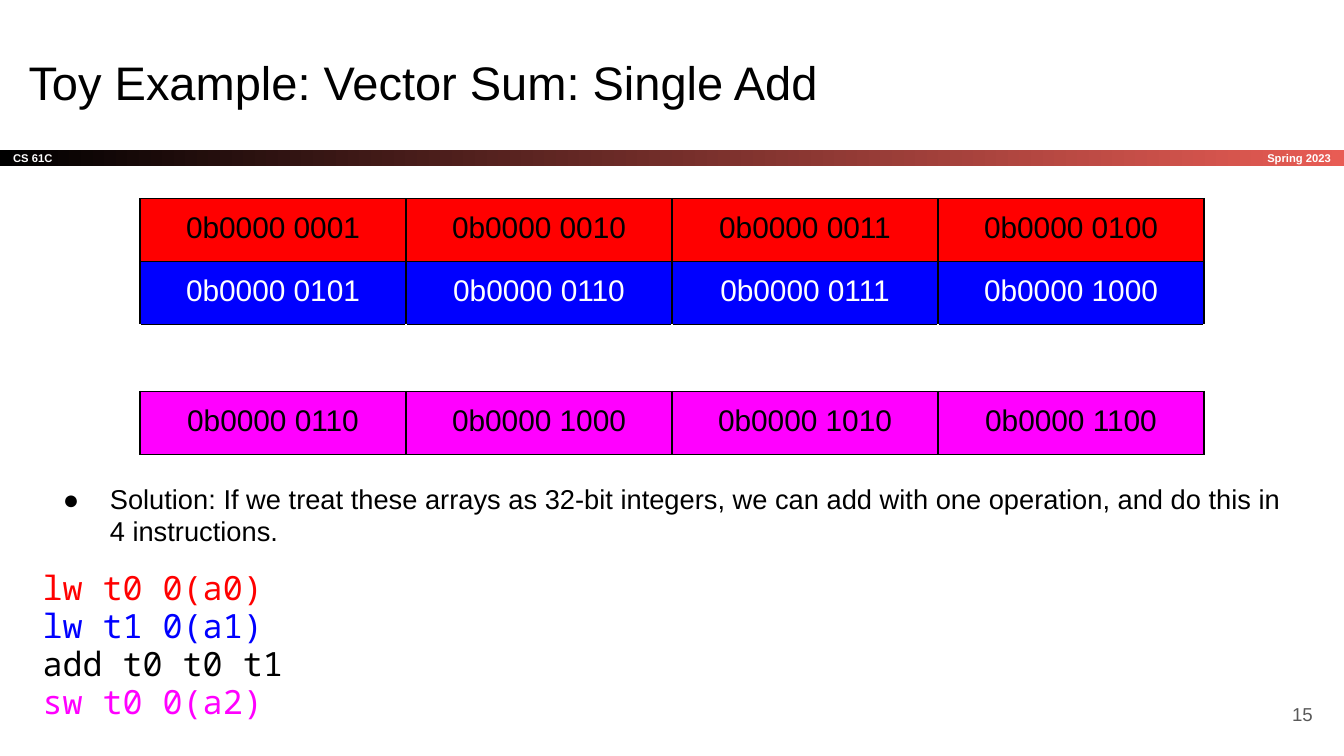
from typing import NamedTuple

from lxml import etree
from pptx import Presentation
from pptx.dml.color import RGBColor
from pptx.enum.shapes import MSO_SHAPE
from pptx.enum.text import MSO_ANCHOR, PP_ALIGN
from pptx.oxml.ns import qn
from pptx.util import Pt

RECTANGLE = MSO_SHAPE.RECTANGLE
TOP, MIDDLE = MSO_ANCHOR.TOP, MSO_ANCHOR.MIDDLE
LEFT, CENTER, RIGHT = PP_ALIGN.LEFT, PP_ALIGN.CENTER, PP_ALIGN.RIGHT
BLACK, WHITE, RED, BLUE, MAGENTA = "000000", "FFFFFF", "FF0000", "0000FF", "FF00FF"
INSET = Pt(7.2)


class Vector(NamedTuple):
    """One table row; a row without fill is a gap."""
    values: tuple[str, ...]
    fill: str | None = None
    ink: str = BLACK


class Instruction(NamedTuple):
    """One line of assembly and its colour."""
    code: str
    ink: str


VECTORS = (
    Vector(("0b0000 0001", "0b0000 0010", "0b0000 0011", "0b0000 0100"), RED),
    Vector(("0b0000 0101", "0b0000 0110", "0b0000 0111", "0b0000 1000"), BLUE, WHITE),
    Vector(("",) * 4),
    Vector(("0b0000 0110", "0b0000 1000", "0b0000 1010", "0b0000 1100"), MAGENTA),
)
INSTRUCTIONS = (
    Instruction("lw t0 0(a0)", RED),
    Instruction("lw t1 0(a1)", BLUE),
    Instruction("add t0 t0 t1", BLACK),
    Instruction("sw t0 0(a2)", MAGENTA),
)


def rgb(color: str) -> RGBColor:
    """Turn a hex string into a colour."""
    return RGBColor.from_string(color)


def write(paragraph, text: str, *, size: float, color: str = BLACK, font: str = "Arial",
          bold: bool = False, align=LEFT) -> None:
    """Append a formatted run to a paragraph."""
    paragraph.alignment = align
    run = paragraph.add_run()
    run.text = text
    run.font.size = Pt(size)
    run.font.name = font
    run.font.bold = bold
    run.font.color.rgb = rgb(color)


def prepare_frame(frame, anchor):
    """Set wrapping, insets and anchor, and return the first paragraph."""
    frame.word_wrap = True
    frame.margin_left = frame.margin_right = INSET
    frame.margin_top = frame.margin_bottom = INSET
    frame.vertical_anchor = anchor
    return frame.paragraphs[0]


def add_text_area(slide, left: float, top: float, width: float, height: float, anchor=TOP):
    """Add a text box and return its first paragraph."""
    area = slide.shapes.add_textbox(Pt(left), Pt(top), Pt(width), Pt(height))
    return prepare_frame(area.text_frame, anchor)


def draw_course_bar(slide) -> None:
    """Draw the gradient bar with course and term."""
    bar = slide.shapes.add_shape(RECTANGLE, 0, Pt(80.2), Pt(720), Pt(8.6))
    bar.shadow.inherit = False
    bar.line.fill.background()
    bar.fill.gradient()
    bar.fill.gradient_angle = 0
    for stop, color in zip(bar.fill.gradient_stops, (BLACK, "E85C54")):
        stop.color.rgb = rgb(color)
    course = prepare_frame(bar.text_frame, MIDDLE)
    write(course, "CS 61C", size=6, color=WHITE, bold=True)
    term = add_text_area(slide, 600.5, 80.2, 119.5, 8.6, MIDDLE)
    write(term, "Spring 2023", size=6, color=WHITE, bold=True, align=RIGHT)


def set_borders(cell, side_color: str) -> None:
    """Give a cell black top and bottom borders and coloured sides."""
    properties = cell._tc.get_or_add_tcPr()
    colors = {"a:lnL": side_color, "a:lnR": side_color, "a:lnT": BLACK, "a:lnB": BLACK}
    for position, (tag, color) in enumerate(colors.items()):
        border = etree.Element(qn(tag), w=str(Pt(0.75)))
        solid = etree.SubElement(border, qn("a:solidFill"))
        etree.SubElement(solid, qn("a:srgbClr"), val=color)
        properties.insert(position, border)


def draw_vectors(slide) -> None:
    """Draw the operands and their sum as a table."""
    table = slide.shapes.add_table(len(VECTORS), 4, Pt(75), Pt(106.4), Pt(570), Pt(121)).table
    table.first_row = table.horz_banding = False
    for column in table.columns:
        column.width = Pt(142.5)
    for row_index, vector in enumerate(VECTORS):
        table.rows[row_index].height = Pt(30.2)
        for column_index, value in enumerate(vector.values):
            cell = table.cell(row_index, column_index)
            cell.margin_left = cell.margin_right = INSET
            cell.margin_top = cell.margin_bottom = INSET
            if vector.fill:
                cell.fill.solid()
                cell.fill.fore_color.rgb = rgb(vector.fill)
            else:
                cell.fill.background()
            write(cell.text_frame.paragraphs[0], value, size=16, color=vector.ink, align=CENTER)
            set_borders(cell, BLACK if vector.fill else WHITE)


def add_bullet(paragraph) -> None:
    """Give a paragraph a hanging black bullet."""
    properties = paragraph._p.get_or_add_pPr()
    properties.set("marL", str(Pt(36)))
    properties.set("indent", str(Pt(-25.2)))
    bullet_color = etree.SubElement(properties, qn("a:buClr"))
    etree.SubElement(bullet_color, qn("a:srgbClr"), val=BLACK)
    etree.SubElement(properties, qn("a:buFont"), typeface="Arial")
    etree.SubElement(properties, qn("a:buChar"), char="●")


def draw_solution(slide) -> None:
    """Write the explanation and the four instructions."""
    solution = add_text_area(slide, 15.8, 252.7, 689, 141.8)
    solution.line_spacing = 0.95
    add_bullet(solution)
    write(solution, "Solution: If we treat these arrays as 32-bit integers, we can add with "
          "one operation, and do this in 4 instructions.", size=14.6)
    program = solution._parent.add_paragraph()
    program.line_spacing = 0.95
    program.space_before = program.space_after = Pt(12)
    for index, instruction in enumerate(INSTRUCTIONS):
        if index:
            program.add_line_break()
        write(program, instruction.code, size=17.9, color=instruction.ink, font="Noto Sans Mono")


def main() -> None:
    """Build and save the slide."""
    deck = Presentation()
    deck.slide_width, deck.slide_height = Pt(720), Pt(405)
    slide = deck.slides.add_slide(deck.slide_layouts[6])
    draw_course_bar(slide)
    title = add_text_area(slide, 8.2, 21.6, 671, 45.4)
    write(title, "Toy Example: Vector Sum: Single Add", size=25.2)
    draw_solution(slide)
    draw_vectors(slide)
    page_number = add_text_area(slide, 667.2, 367.2, 43.2, 31, MIDDLE)
    write(page_number, "15", size=10, color="595959", align=RIGHT)
    deck.save("out.pptx")


if __name__ == "__main__":
    main()
